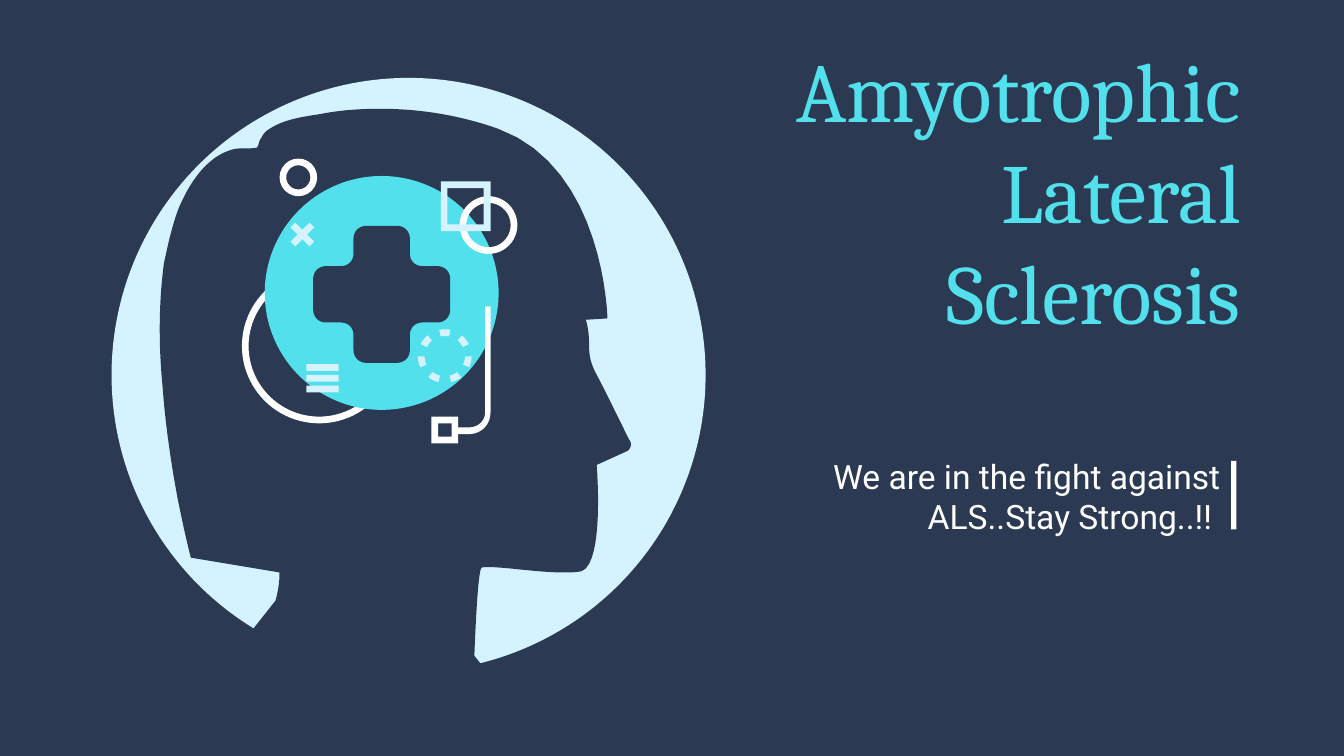
from math import cos, radians, sin

from pptx import Presentation
from pptx.dml.color import RGBColor
from pptx.enum.shapes import MSO_SHAPE as Shape
from pptx.enum.text import MSO_ANCHOR as Anchor, PP_ALIGN as Align
from pptx.util import Inches, Pt

NAVY = RGBColor(0x2B, 0x3A, 0x52)
AQUA = RGBColor(0x53, 0xE0, 0xED)
ICE = RGBColor(0xD4, 0xF3, 0xFF)
WHITE = RGBColor(0xFF, 0xFF, 0xFF)

HEAD_START = (2.83, 0.81)
HEAD = [
    (3.13, 0.81, 3.43, 0.86, 3.71, 0.96), (4.5, 1.25, 4.52, 2.37, 4.52, 2.37),
    (4.36, 2.38), (4.41, 2.56, 4.35, 2.61, 4.43, 2.77),
    (4.5, 2.9, 4.68, 3.27, 4.68, 3.27), (4.71, 3.3, 4.69, 3.35, 4.66, 3.36),
    (4.44, 3.46), (4.44, 3.46, 4.5, 4.18, 4.33, 4.25),
    (4.29, 4.26, 4.24, 4.26, 4.18, 4.26), (4.01, 4.26, 3.76, 4.22, 3.64, 4.22),
    (3.61, 4.22, 3.58, 4.22, 3.58, 4.23), (3.55, 4.29, 3.53, 4.88, 3.53, 4.88),
    (3.61, 4.98), (3.42, 5.02, 3.23, 5.05, 3.04, 5.05),
    (2.6, 5.05, 2.2, 4.92, 1.86, 4.71), (2.05, 4.47),
    (2.07, 4.4, 2.08, 4.33, 2.08, 4.26), (1.42, 4.15),
    (1.38, 3.99, 1.35, 3.85, 1.32, 3.7), (1.27, 3.43, 1.23, 3.15, 1.21, 2.88),
    (1.18, 2.57, 1.18, 2.26, 1.22, 1.96), (1.25, 1.82, 1.28, 1.68, 1.33, 1.55),
    (1.41, 1.36, 1.54, 1.16, 1.74, 1.11), (1.79, 1.1, 1.84, 1.11, 1.91, 1.1),
    (1.92, 1.09, 1.93, 1.06, 1.93, 1.05), (1.95, 1.02, 1.96, 0.99, 1.99, 0.97),
    (2.1, 0.89, 2.25, 0.87, 2.38, 0.85), (2.53, 0.82, 2.68, 0.81, 2.83, 0.81),
]
HOOK_START = (3.65, 2.28)
HOOK = [
    (3.65, 3.07), (3.65, 3.16, 3.58, 3.23, 3.49, 3.23), (3.38, 3.23),
    (3.38, 3.18), (3.49, 3.18), (3.56, 3.18, 3.61, 3.13, 3.61, 3.07), (3.61, 2.28),
]
CROSS_ARM = [
    (0.17, -0.51, 0.21, -0.47, 0.21, -0.41), (0.21, -0.3),
    (0.21, -0.25, 0.25, -0.21, 0.3, -0.21), (0.41, -0.21),
    (0.47, -0.21, 0.51, -0.17, 0.51, -0.11),
]


def trace(start, segments, steps=16):
    points = [start]
    for segment in segments:
        if len(segment) == 2:
            points.append(segment)
            continue
        curve = (*points[-1], *segment)
        for step in range(1, steps + 1):
            t = step / steps
            weights = ((1 - t) ** 3, 3 * t * (1 - t) ** 2, 3 * t * t * (1 - t), t ** 3)
            points.append(tuple(
                sum(w * v for w, v in zip(weights, curve[axis::2])) for axis in (0, 1)))
    return points


class Painter:
    """Draws flat, borderless elements and text on one slide."""

    def __init__(self, page):
        self.page = page
        self.page.background.fill.solid()
        self.page.background.fill.fore_color.rgb = NAVY

    def flat(self, shape, color):
        shape.shadow.inherit = False
        shape.fill.solid()
        shape.fill.fore_color.rgb = color
        shape.line.fill.background()
        return shape

    def preset(self, kind, left, top, width, height, color, thickness=None, rotation=0):
        shape = self.page.shapes.add_shape(
            kind, Inches(left), Inches(top), Inches(width), Inches(height))
        if thickness:
            shape.adjustments[0] = thickness / min(width, height)
        shape.rotation = rotation
        return self.flat(shape, color)

    def outline(self, points, color):
        (x, y), *rest = [(Inches(x), Inches(y)) for x, y in points]
        builder = self.page.shapes.build_freeform(x, y, scale=1.0)
        builder.add_line_segments(rest, close=True)
        return self.flat(builder.convert_to_shape(), color)

    def cross(self, x, y, color):
        points = []
        arm = trace((0.11, -0.51), CROSS_ARM)
        for _ in range(4):
            points += [(x + dx, y + dy) for dx, dy in arm]
            arm = [(-dy, dx) for dx, dy in arm]
        self.outline(points, color)

    def dashed_ring(self, x, y, outer, inner, count, color):
        for index in range(count):
            middle = index * 360 / count - 90
            angles = [radians(middle + offset) for offset in (-12, -6, 0, 6, 12)]
            edge = [(outer, a) for a in angles] + [(inner, a) for a in reversed(angles)]
            self.outline([(x + r * cos(a), y + r * sin(a)) for r, a in edge], color)

    def text(self, words, left, top, width, height, font, size, color, anchor):
        box = self.page.shapes.add_textbox(
            Inches(left), Inches(top), Inches(width), Inches(height))
        frame = box.text_frame
        frame.word_wrap = True
        frame.vertical_anchor = anchor
        frame.margin_left = frame.margin_right = Inches(0.1)
        frame.margin_top = frame.margin_bottom = Inches(0.1)
        para = frame.paragraphs[0]
        para.text = words
        para.alignment = Align.RIGHT
        para.font.name = font
        para.font.size = Pt(size)
        para.font.color.rgb = color


def main():
    deck = Presentation()
    deck.slide_width, deck.slide_height = Inches(10), Inches(10 * 9 / 16)
    art = Painter(deck.slides.add_slide(deck.slide_layouts[6]))

    art.text("Amyotrophic Lateral Sclerosis", 5.25, 0.35, 4.08, 2.29,
             "Cambria", 45, AQUA, Anchor.BOTTOM)
    art.text("We are in the fight against ALS..Stay Strong..!! ", 5.74, 3.29, 3.44, 0.67,
             "Roboto", 18, WHITE, Anchor.TOP)
    art.preset(Shape.RECTANGLE, 9.16, 3.43, 0.04, 0.51, WHITE)

    art.preset(Shape.OVAL, 0.83, 0.58, 4.42, 4.42, ICE)
    art.outline(trace(HEAD_START, HEAD), NAVY)
    art.preset(Shape.DONUT, 1.8, 2, 1.15, 1.15, WHITE, 0.05)
    art.preset(Shape.OVAL, 1.97, 1.31, 1.74, 1.74, AQUA)
    art.cross(2.84, 2.19, NAVY)
    art.dashed_ring(3.31, 2.65, 0.2, 0.15, 7, ICE)
    art.preset(Shape.DONUT, 2.08, 1.18, 0.28, 0.28, WHITE, 0.05)
    art.preset(Shape.DONUT, 3.42, 1.46, 0.43, 0.43, WHITE, 0.05)
    art.preset(Shape.FRAME, 3.21, 3.1, 0.2, 0.2, WHITE, 0.05)
    for row in range(3):
        art.preset(Shape.RECTANGLE, 2.28, 2.71 + 0.08 * row, 0.24, 0.05, ICE)
    for angle in (45, -45):
        art.preset(Shape.RECTANGLE, 2.15, 1.72, 0.2, 0.05, ICE, rotation=angle)
    art.preset(Shape.FRAME, 3.28, 1.35, 0.37, 0.37, ICE, 0.05)
    art.outline(trace(HOOK_START, HOOK), WHITE)

    deck.save("out.pptx")


if __name__ == "__main__":
    main()
